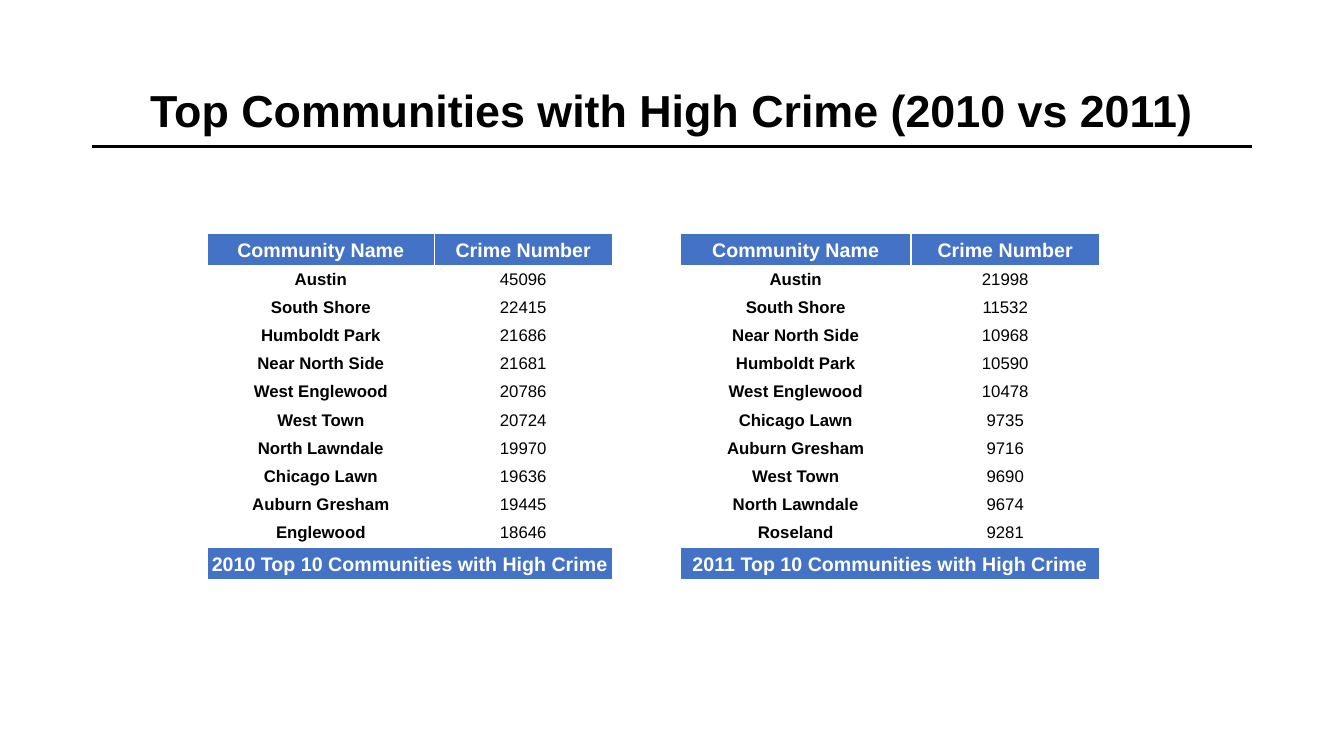
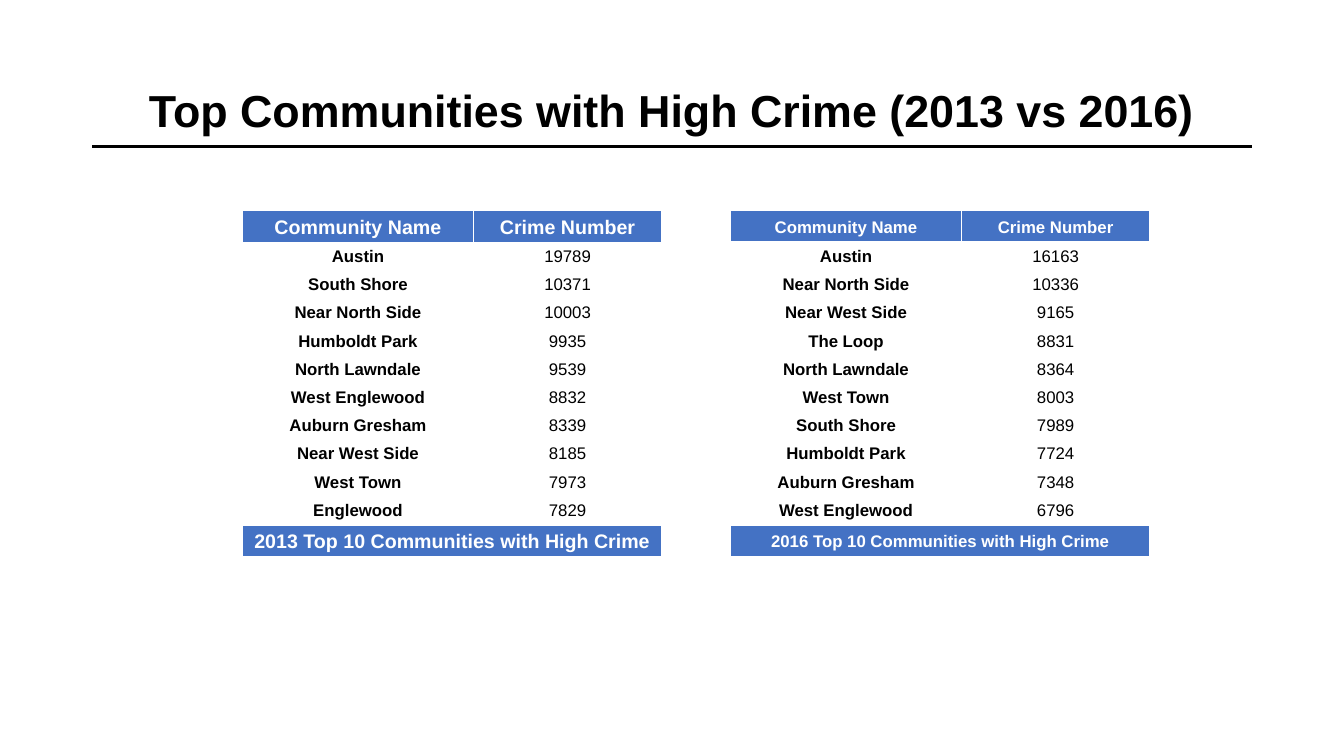
import lxml.etree
import pptx
import pptx.dml.color
import pptx.enum.shapes
import pptx.enum.text
import pptx.oxml.ns
import pptx.util

# The slide is a grid of 160 columns by 90 rows of square cells.
SLIDE_WIDTH = pptx.util.Inches(13.333)
SLIDE_HEIGHT = pptx.util.Inches(7.5)
GRID_COLUMNS = 160

COLORS = {"ink": "000000", "paper": "FFFFFF", "band": "4472C4"}
FONT = "Arial"
TITLE_BOX = (11, 4.8, 138, 17.4)
RULE_ROW = 17.4
TABLE_ROWS = 41.2
BAND_ROWS = 3.8
HEADINGS = ("Community Name", "Crime Number")
BODY_SIZE = 12

# Each ranking: year, box (left, top, width), share of the name column,
# size of the band text, weight of the line under the headings, entries.
SLIDES = [
    ("Top Communities with High Crime (2010 vs 2011)", [
        (2010, (24.7, 27.8, 48.2), 0.56, 14, 1, [
            ("Austin", 45096), ("South Shore", 22415),
            ("Humboldt Park", 21686), ("Near North Side", 21681),
            ("West Englewood", 20786), ("West Town", 20724),
            ("North Lawndale", 19970), ("Chicago Lawn", 19636),
            ("Auburn Gresham", 19445), ("Englewood", 18646)]),
        (2011, (81, 27.8, 49.9), 0.55, 14, 1, [
            ("Austin", 21998), ("South Shore", 11532),
            ("Near North Side", 10968), ("Humboldt Park", 10590),
            ("West Englewood", 10478), ("Chicago Lawn", 9735),
            ("Auburn Gresham", 9716), ("West Town", 9690),
            ("North Lawndale", 9674), ("Roseland", 9281)]),
    ]),
    ("Top Communities with High Crime (2013 vs 2016)", [
        (2013, (28.9, 25.1, 49.9), 0.55, 14, 1, [
            ("Austin", 19789), ("South Shore", 10371),
            ("Near North Side", 10003), ("Humboldt Park", 9935),
            ("North Lawndale", 9539), ("West Englewood", 8832),
            ("Auburn Gresham", 8339), ("Near West Side", 8185),
            ("West Town", 7973), ("Englewood", 7829)]),
        (2016, (87, 25.1, 49.9), 0.55, 12, 3, [
            ("Austin", 16163), ("Near North Side", 10336),
            ("Near West Side", 9165), ("The Loop", 8831),
            ("North Lawndale", 8364), ("West Town", 8003),
            ("South Shore", 7989), ("Humboldt Park", 7724),
            ("Auburn Gresham", 7348), ("West Englewood", 6796)]),
    ]),
]


def grid(*cells):
    """Turn counts of grid cells into slide lengths."""
    return [pptx.util.Emu(round(n * SLIDE_WIDTH / GRID_COLUMNS)) for n in cells]


def rgb(name):
    return pptx.dml.color.RGBColor.from_string(COLORS[name])


def set_paragraph(frame, text, size, color, bold, spacing):
    paragraph = frame.paragraphs[0]
    paragraph.text = str(text)
    paragraph.alignment = pptx.enum.text.PP_ALIGN.CENTER
    paragraph.line_spacing = spacing
    font = paragraph.font
    font.name, font.size, font.bold = FONT, pptx.util.Pt(size), bold
    font.color.rgb = rgb(color)


def add_title(slide, text, box):
    title = slide.shapes.add_textbox(*grid(*box))
    title.text_frame.word_wrap = True
    title.text_frame.vertical_anchor = pptx.enum.text.MSO_ANCHOR.MIDDLE
    set_paragraph(title.text_frame, text, 32, "ink", True, 0.9)

    left, _, width, _ = box
    rule = slide.shapes.add_connector(
        pptx.enum.shapes.MSO_CONNECTOR.STRAIGHT,
        *grid(left, RULE_ROW, left + width, RULE_ROW))
    rule.line.color.rgb = rgb("ink")
    rule.line.width = pptx.util.Pt(2.25)
    lxml.etree.SubElement(rule._element.spPr, pptx.oxml.ns.qn("a:effectLst"))


def add_borders(cell, bottom):
    qn = pptx.oxml.ns.qn
    properties = cell._tc.get_or_add_tcPr()
    for side, weight in (("L", 1), ("R", 1), ("T", 1), ("B", bottom)):
        line = lxml.etree.SubElement(properties, qn("a:ln" + side),
                                     w=str(pptx.util.Pt(weight)))
        fill = lxml.etree.SubElement(line, qn("a:solidFill"))
        lxml.etree.SubElement(fill, qn("a:srgbClr"), val=COLORS["paper"])


def style_cell(cell, text, size, bold, band=False, bottom=1):
    add_borders(cell, bottom)
    cell.fill.solid()
    cell.fill.fore_color.rgb = rgb("band" if band else "paper")
    cell.margin_left = cell.margin_right = pptx.util.Inches(0.03)
    cell.margin_top = cell.margin_bottom = pptx.util.Inches(0.03)
    anchors = pptx.enum.text.MSO_ANCHOR
    cell.vertical_anchor = anchors.MIDDLE if band else anchors.TOP
    set_paragraph(cell.text_frame, text, size,
                  "paper" if band else "ink", bold, 1.07)


def add_ranking(slide, year, box, name_share, band_size, heading_line, entries):
    left, top, width = box
    last = len(entries) + 1
    table = slide.shapes.add_table(
        last + 1, 2, *grid(left, top, width, TABLE_ROWS)).table
    table.horz_banding = False
    table.columns[0].width, table.columns[1].width = grid(
        width * name_share, width * (1 - name_share))
    band_height, entry_height = grid(
        BAND_ROWS, (TABLE_ROWS - 2 * BAND_ROWS) / len(entries))
    for index, row in enumerate(table.rows):
        row.height = band_height if index in (0, last) else entry_height

    for column, heading in enumerate(HEADINGS):
        style_cell(table.cell(0, column), heading, band_size, True,
                   band=True, bottom=heading_line)
    for index, entry in enumerate(entries, 1):
        for column, value in enumerate(entry):
            style_cell(table.cell(index, column), value, BODY_SIZE, column == 0)
    caption = table.cell(last, 0)
    caption.merge(table.cell(last, 1))
    style_cell(caption, f"{year} Top 10 Communities with High Crime",
               band_size, True, band=True)


def main():
    deck = pptx.Presentation()
    deck.slide_width, deck.slide_height = SLIDE_WIDTH, SLIDE_HEIGHT
    for title, rankings in SLIDES:
        slide = deck.slides.add_slide(deck.slide_layouts[6])
        for ranking in rankings:
            add_ranking(slide, *ranking)
        add_title(slide, title, TITLE_BOX)
    deck.save("out.pptx")


if __name__ == "__main__":
    main()
